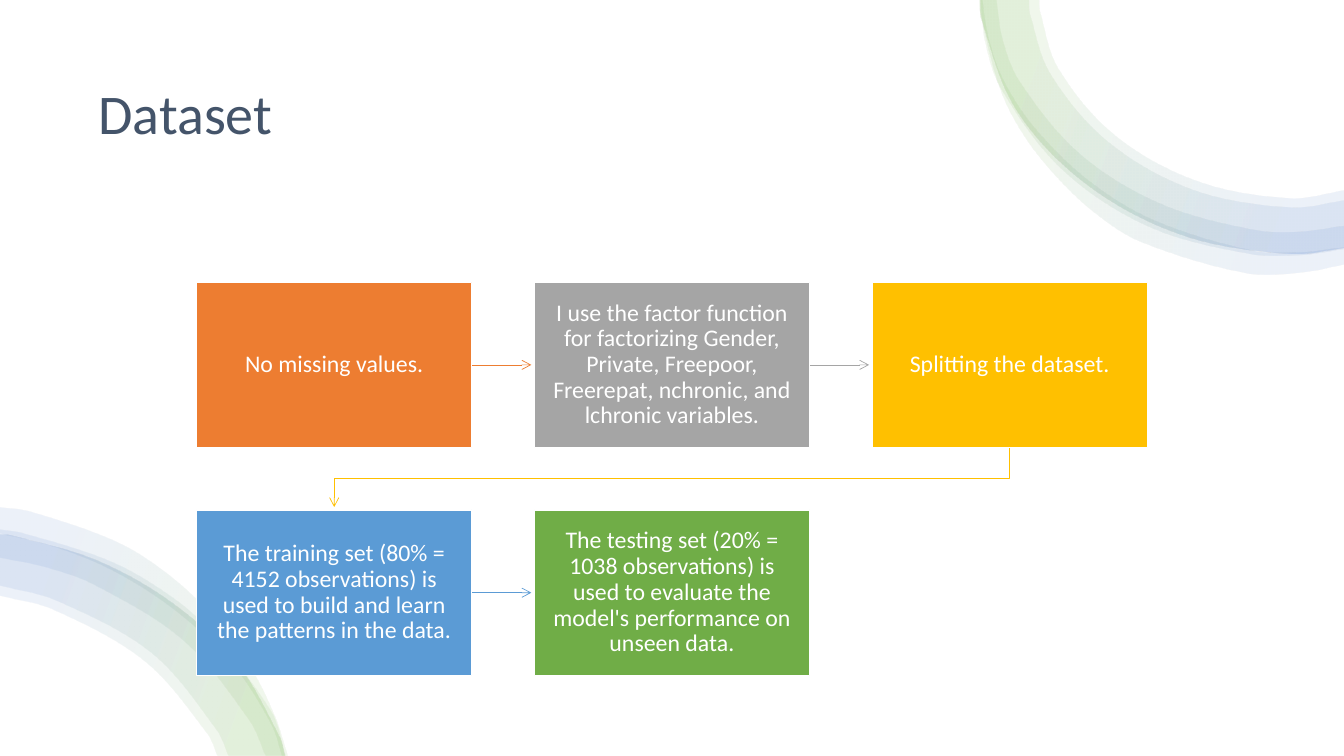
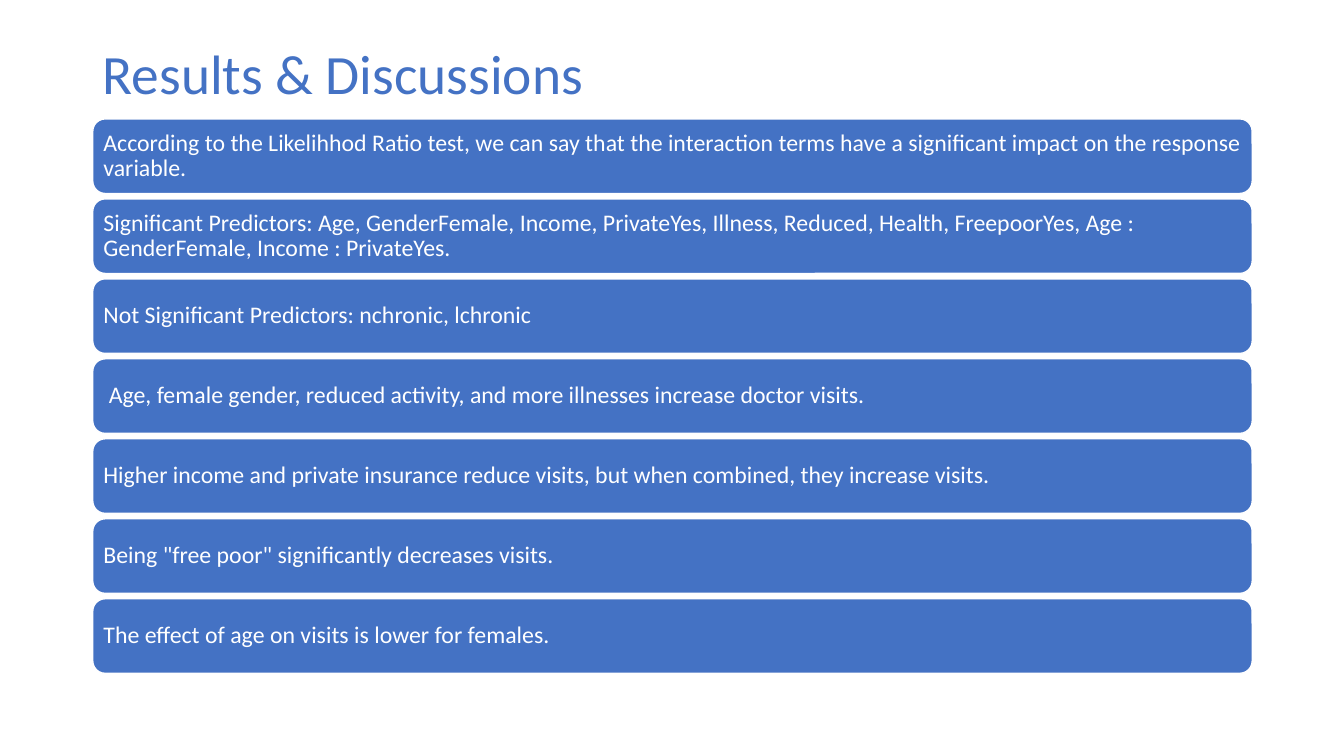
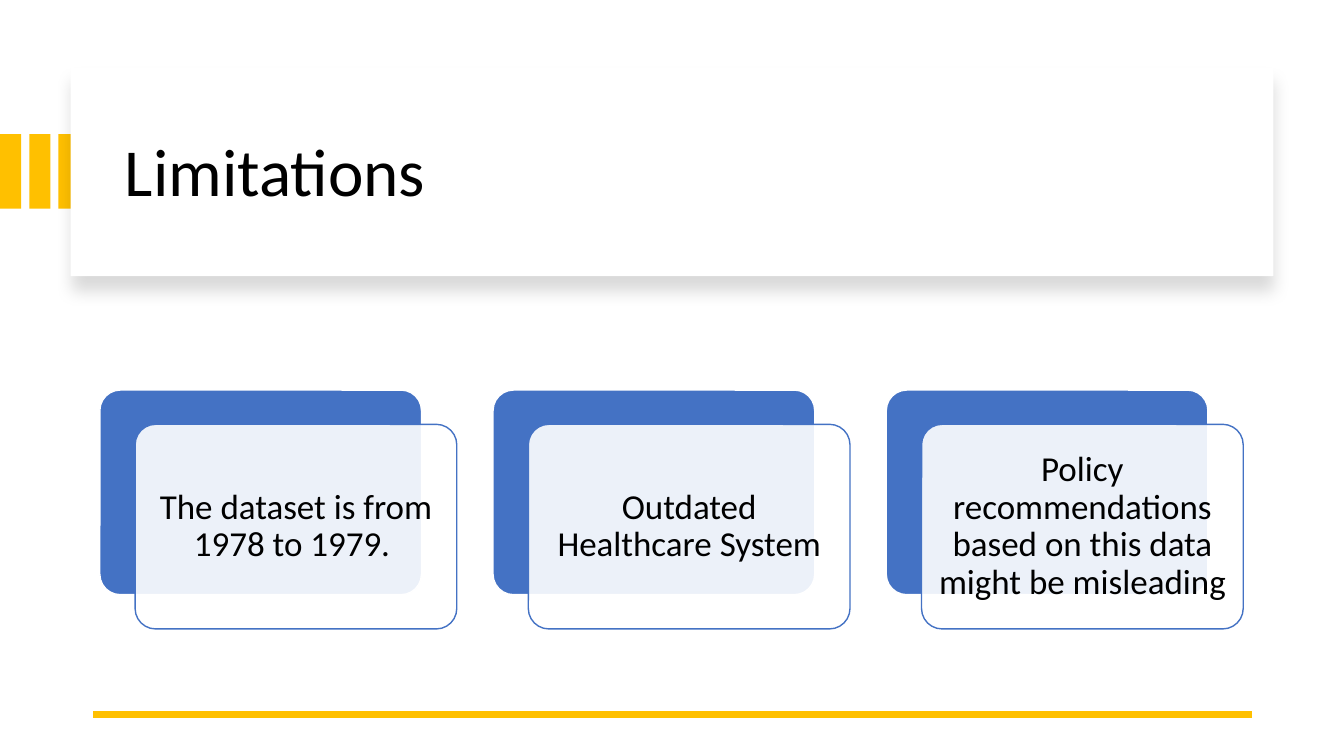
from math import hypot

from lxml import etree
from pptx import Presentation
from pptx.dml.color import RGBColor
from pptx.enum.shapes import MSO_CONNECTOR, MSO_SHAPE
from pptx.enum.text import MSO_ANCHOR, PP_ALIGN
from pptx.oxml import parse_xml
from pptx.oxml.ns import nsdecls, qn
from pptx.util import Inches, Pt

RECT, ROUND = MSO_SHAPE.RECTANGLE, MSO_SHAPE.ROUNDED_RECTANGLE
STRAIGHT = MSO_CONNECTOR.STRAIGHT
MIDDLE = MSO_ANCHOR.MIDDLE
LEFT, CENTER = PP_ALIGN.LEFT, PP_ALIGN.CENTER

# Shared style
SLIDE_W, SLIDE_H = 13.33, 7.5
FONT = "Calibri"
WHITE, BLACK, SLATE = "FFFFFF", "000000", "44546A"
BLUE, SKY, GREEN = "4472C4", "5B9BD5", "70AD47"
ORANGE, GREY, GOLD = "ED7D31", "A5A5A5", "FFC000"

# Corner bands: each is an outer and an inner edge
RIGHT_OUTER = [(9.73, 0), (9.74, 0.2), (10.09, 1.1), (10.8, 1.84),
               (11.74, 2.33), (12.79, 2.51), (13.33, 2.45)]
RIGHT_BANDS = [
    (RIGHT_OUTER, [(10.31, 0), (10.32, 0.12), (10.5, 0.68), (11.06, 1.34),
                   (11.87, 1.79), (12.79, 1.96), (13.33, 1.88)]),
    (RIGHT_OUTER, [(10.21, 0), (10.22, 0.14), (10.42, 0.73), (11, 1.41),
                   (11.84, 1.88), (12.79, 2.05), (13.33, 1.98)]),
    ([(9.73, 0), (9.78, 0.43), (9.94, 0.89), (10.54, 1.68), (11.39, 2.24),
      (12.39, 2.51), (12.91, 2.52), (13.33, 2.46)],
     [(9.89, 0), (9.95, 0.39), (10.12, 0.81), (10.71, 1.52), (11.5, 2.01),
      (12.42, 2.27), (12.89, 2.29), (13.33, 2.23)]),
    ([(9.71, 0), (9.72, 0.13), (9.91, 0.87), (10.14, 1.33), (10.46, 1.74),
      (10.85, 2.11), (11.31, 2.4), (12.36, 2.71), (12.92, 2.7), (13.33, 2.62)],
     [(9.74, 0), (9.8, 0.37), (9.94, 0.78), (10.25, 1.26), (10.79, 1.79),
      (11.43, 2.18), (12.39, 2.48), (12.9, 2.5), (13.33, 2.45)]),
]
LEFT_OUTER = [(0, 5.3), (0.11, 5.31), (0.96, 5.56), (1.73, 6), (2.35, 6.59),
              (2.76, 7.3), (2.82, 7.5)]
LEFT_BANDS = [
    ([(0, 5.04), (0.29, 5.08), (1.15, 5.38), (1.66, 5.7), (2.1, 6.11),
      (2.45, 6.57), (2.71, 7.08), (2.85, 7.5)],
     [(0, 5.3), (0.5, 5.42), (1.02, 5.62), (1.51, 5.9), (1.95, 6.24),
      (2.34, 6.64), (2.69, 7.2), (2.79, 7.5)]),
    (LEFT_OUTER, [(0, 5.91), (0.53, 6.05), (1.43, 6.56), (2.05, 7.28), (2.15, 7.5)]),
    ([(0, 5.26), (0.24, 5.3), (1.06, 5.56), (1.56, 5.83), (2, 6.18),
      (2.68, 7.05), (2.83, 7.5)],
     [(0, 5.54), (0.44, 5.63), (0.94, 5.81), (1.82, 6.36), (2.47, 7.15), (2.63, 7.5)]),
    (LEFT_OUTER, [(0, 5.81), (0.56, 5.96), (1.5, 6.48), (2.14, 7.24), (2.26, 7.5)]),
]

STEPS = [
    ("No missing values.", ORANGE),
    ("I use the factor function for factorizing Gender, Private, Freepoor, "
     "Freerepat, nchronic, and lchronic variables.", GREY),
    ("Splitting the dataset.", GOLD),
    ("The training set (80% = 4152 observations) is used to build and learn "
     "the patterns in the data.", SKY),
    ("The testing set (20% = 1038 observations) is used to evaluate the "
     "model's performance on unseen data.", GREEN),
]
FINDINGS = [
    "According to the Likelihhod Ratio test, we can say that the interaction "
    "terms have a significant impact on the response variable.",
    "Significant Predictors: Age, GenderFemale, Income, PrivateYes, Illness, "
    "Reduced, Health, FreepoorYes, Age : GenderFemale, Income : PrivateYes.",
    "Not Significant Predictors: nchronic, lchronic",
    " Age, female gender, reduced activity, and more illnesses increase doctor visits.",
    "Higher income and private insurance reduce visits, but when combined, "
    "they increase visits.",
    'Being "free poor" significantly decreases visits.',
    "The effect of age on visits is lower for females.",
]
LIMITS = [
    "The dataset is from 1978 to 1979. ",
    "Outdated Healthcare System",
    "Policy recommendations based on this data might be misleading",
]


def rgb(value):
    return RGBColor.from_string(value)


def set_all(obj, values):
    for name, value in values.items():
        setattr(obj, name, value)


def write(sp, text, size, color, align=LEFT, inset=(0.1, 0.05)):
    tf = sp.text_frame
    dx, dy = (Inches(v) for v in inset)
    set_all(tf, {"word_wrap": True, "vertical_anchor": MIDDLE, "margin_left": dx,
                 "margin_right": dx, "margin_top": dy, "margin_bottom": dy})
    p = tf.paragraphs[0]
    set_all(p, {"alignment": align, "line_spacing": 0.9})
    r = p.add_run()
    r.text = text
    set_all(r.font, {"name": FONT, "size": Pt(size)})
    r.font.color.rgb = rgb(color)


def add_title(s, text, box, size, color):
    write(s.shapes.add_textbox(*map(Inches, box)), text, size, color)


def add_box(s, kind, box, fill, line=None):
    sp = s.shapes.add_shape(kind, *map(Inches, box))
    sp.shadow.inherit = False
    sp.fill.solid()
    sp.fill.fore_color.rgb = rgb(fill)
    if line:
        sp.line.color.rgb = rgb(line)
        sp.line.width = Pt(1)
    else:
        sp.line.fill.background()
    return sp


def add_outline(s, points, close):
    x, y = points[0]
    fb = s.shapes.build_freeform(Inches(x), Inches(y), scale=1.0)
    fb.add_line_segments([(Inches(a), Inches(b)) for a, b in points[1:]], close=close)
    sp = fb.convert_to_shape()
    sp.shadow.inherit = False
    sp.fill.background()
    return sp


def add_line(s, start, end, color, width):
    c = s.shapes.add_connector(STRAIGHT, *map(Inches, start + end))
    etree.SubElement(c._element.spPr, qn("a:effectLst"))
    c.line.color.rgb = rgb(color)
    c.line.width = Pt(width)
    return c


def add_arrow(s, points, color):
    if len(points) == 2:
        sp = add_line(s, *points, color, 0.5)
    else:
        sp = add_outline(s, points, False)
        sp.line.color.rgb = rgb(color)
        sp.line.width = Pt(0.5)
    etree.SubElement(sp.line._get_or_add_ln(), qn("a:tailEnd"), type="arrow")


def control_points(a, b, c, d):
    """Bezier controls for the curve from b to c, between neighbours a and d."""
    reach = hypot(c[0] - b[0], c[1] - b[1]) / 3

    def shift(base, start, end, sign):
        span = hypot(end[0] - start[0], end[1] - start[1])
        return tuple(o + sign * (v - u) * reach / span
                     for o, u, v in zip(base, start, end))

    return shift(b, a, c, 1), shift(c, b, d, -1)


def round_edges(sp, outer_count):
    """Turn the straight sides along both edges of a band into curves."""
    geom = sp._element.spPr.find(qn("a:custGeom"))
    nodes = [pt.getparent() for pt in geom.iter(qn("a:pt"))]
    places = [(int(n[0].get("x")), int(n[0].get("y"))) for n in nodes]
    for first, last in ((0, outer_count), (outer_count, len(nodes))):
        edge = places[first:last]
        ends = [edge[0]] + edge + [edge[-1]]
        for i, node in enumerate(nodes[first + 1:last]):
            curve = etree.Element(qn("a:cubicBezTo"))
            for x, y in control_points(*ends[i:i + 4]) + (edge[i + 1],):
                etree.SubElement(curve, qn("a:pt"), x=str(round(x)), y=str(round(y)))
            node.getparent().replace(node, curve)


def add_corner(s, bands, angle):
    stops = "".join(
        f'<a:gs pos="{pos}000"><a:srgbClr val="{color}"><a:alpha val="10000"/></a:srgbClr></a:gs>'
        for pos, color in ((16, GREEN), (85, BLUE)))
    for outer, inner in bands:
        sp = add_outline(s, outer + inner[::-1], True)
        round_edges(sp, len(outer))
        sp.line.fill.background()
        spPr = sp._element.spPr
        spPr.replace(spPr.find(qn("a:noFill")), parse_xml(
            f'<a:gradFill {nsdecls("a")} rotWithShape="1"><a:gsLst>{stops}</a:gsLst>'
            f'<a:lin ang="{angle * 60000}" scaled="0"/></a:gradFill>'))


def add_shadow(sp):
    effects = sp._element.spPr.find(qn("a:effectLst"))
    effects.append(parse_xml(
        f'<a:outerShdw {nsdecls("a")} blurRad="{Pt(11)}" dist="{Pt(10)}" dir="5400000" '
        f'algn="t" rotWithShape="0"><a:srgbClr val="{BLACK}"><a:alpha val="15000"/>'
        '</a:srgbClr></a:outerShdw>'))


def dataset_slide(s):
    add_box(s, RECT, (0, 0, SLIDE_W, SLIDE_H), WHITE)
    add_title(s, "Dataset", (0.88, 0.5, 11.57, 1.3), 40, SLATE)
    add_corner(s, RIGHT_BANDS, 20)
    add_corner(s, LEFT_BANDS, 200)
    # Steps in rows of three, each joined to the next
    w, h, cols = 2.73, 1.64, 3
    places = [(1.95 + i % cols * 3.35, 2.8 + i // cols * 2.26) for i in range(len(STEPS))]
    for (x, y), (nx, ny), (_, color) in zip(places, places[1:], STEPS):
        if y == ny:
            points = [(x + w, y + h / 2), (nx - 0.03, y + h / 2)]
        else:
            turn = (y + h + ny) / 2
            points = [(x + w / 2, y + h), (x + w / 2, turn),
                      (nx + w / 2, turn), (nx + w / 2, ny - 0.03)]
        add_arrow(s, points, color)
    for (x, y), (text, color) in zip(places, STEPS):
        sp = add_box(s, RECT, (x, y, w, h), color, WHITE)
        write(sp, text, 17, WHITE, CENTER, (0.13, 0.14))


def results_slide(s):
    add_title(s, "Results & Discussions", (0.92, 0.4, 11.5, 0.71), 39.6, BLUE)
    top, last = 1.18, 5.94
    pitch = (last - top) / (len(FINDINGS) - 1)
    for i, text in enumerate(FINDINGS):
        sp = add_box(s, ROUND, (0.92, top + i * pitch, 11.5, 0.74), BLUE, WHITE)
        write(sp, text, 17, WHITE, LEFT, (0.07, 0.07))


def limitations_slide(s):
    # Title panel with gold tabs behind it
    for i in range(3):
        add_box(s, RECT, (i * 0.29, 1.33, 0.21, 0.74), GOLD)
    add_shadow(add_box(s, RECT, (0.7, 0.67, 11.93, 2.07), WHITE))
    add_title(s, "Limitations", (1.14, 0.88, 11.13, 1.7), 48, BLACK)
    add_line(s, (12.42, 7.09), (0.92, 7.09), GOLD, 4.5)
    # Cards: a blue back and a translucent front
    for i, text in enumerate(LIMITS):
        x, y = 0.99 + i * 3.9, 3.87
        back = add_box(s, ROUND, (x, y, 3.19, 2.03), BLUE, WHITE)
        front = add_box(s, ROUND, (x + 0.35, y + 0.34, 3.19, 2.03), WHITE, BLUE)
        for card in (back, front):
            card.adjustments[0] = 0.1
        fill = front._element.spPr.find(qn("a:solidFill"))
        etree.SubElement(fill[0], qn("a:alpha"), val="90000")
        write(front, text, 25, BLACK, CENTER, (0.1, 0.1))


def main():
    prs = Presentation()
    prs.slide_width, prs.slide_height = Inches(SLIDE_W), Inches(SLIDE_H)
    for build in (dataset_slide, results_slide, limitations_slide):
        build(prs.slides.add_slide(prs.slide_layouts[6]))
    prs.save("out.pptx")


if __name__ == "__main__":
    main()
